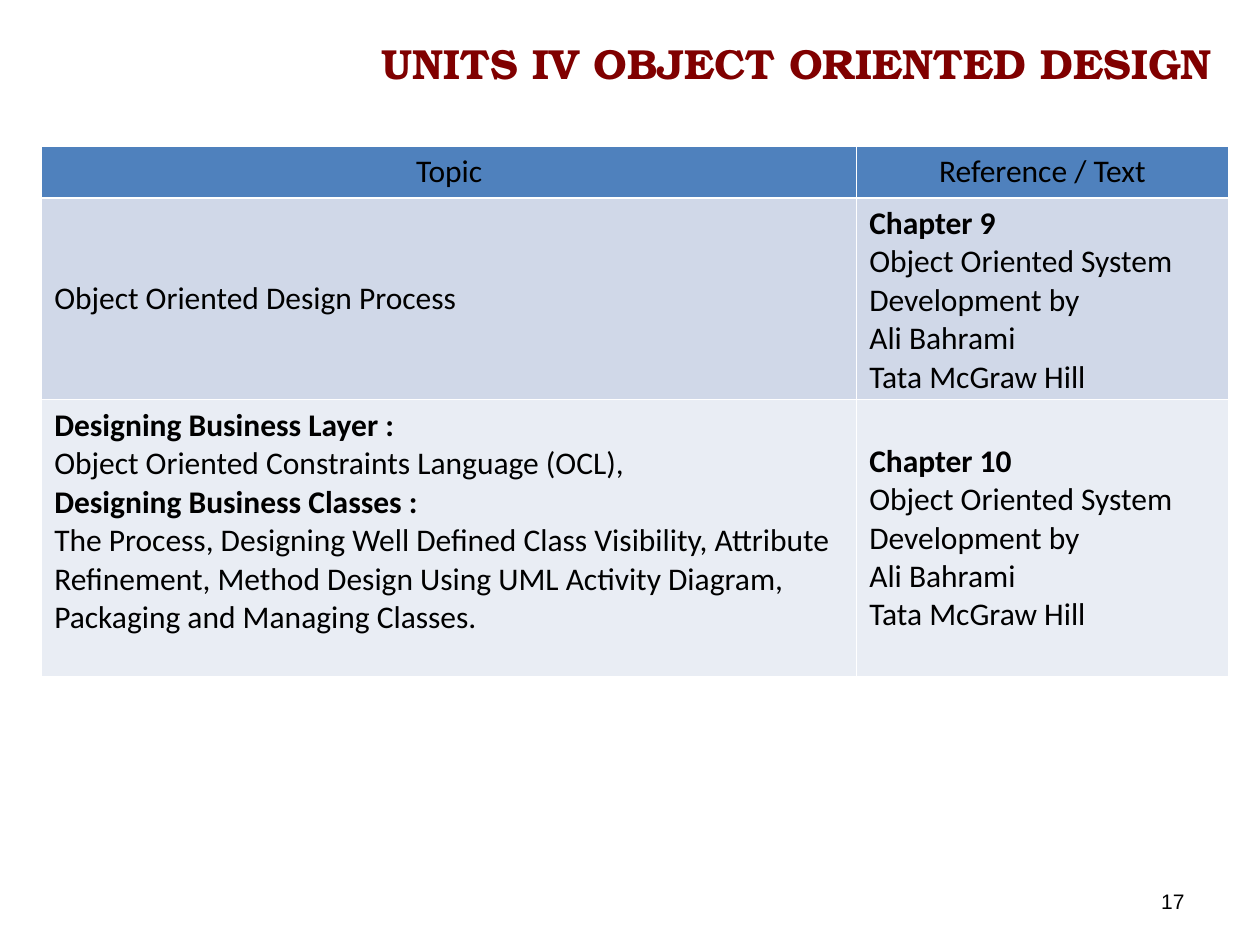
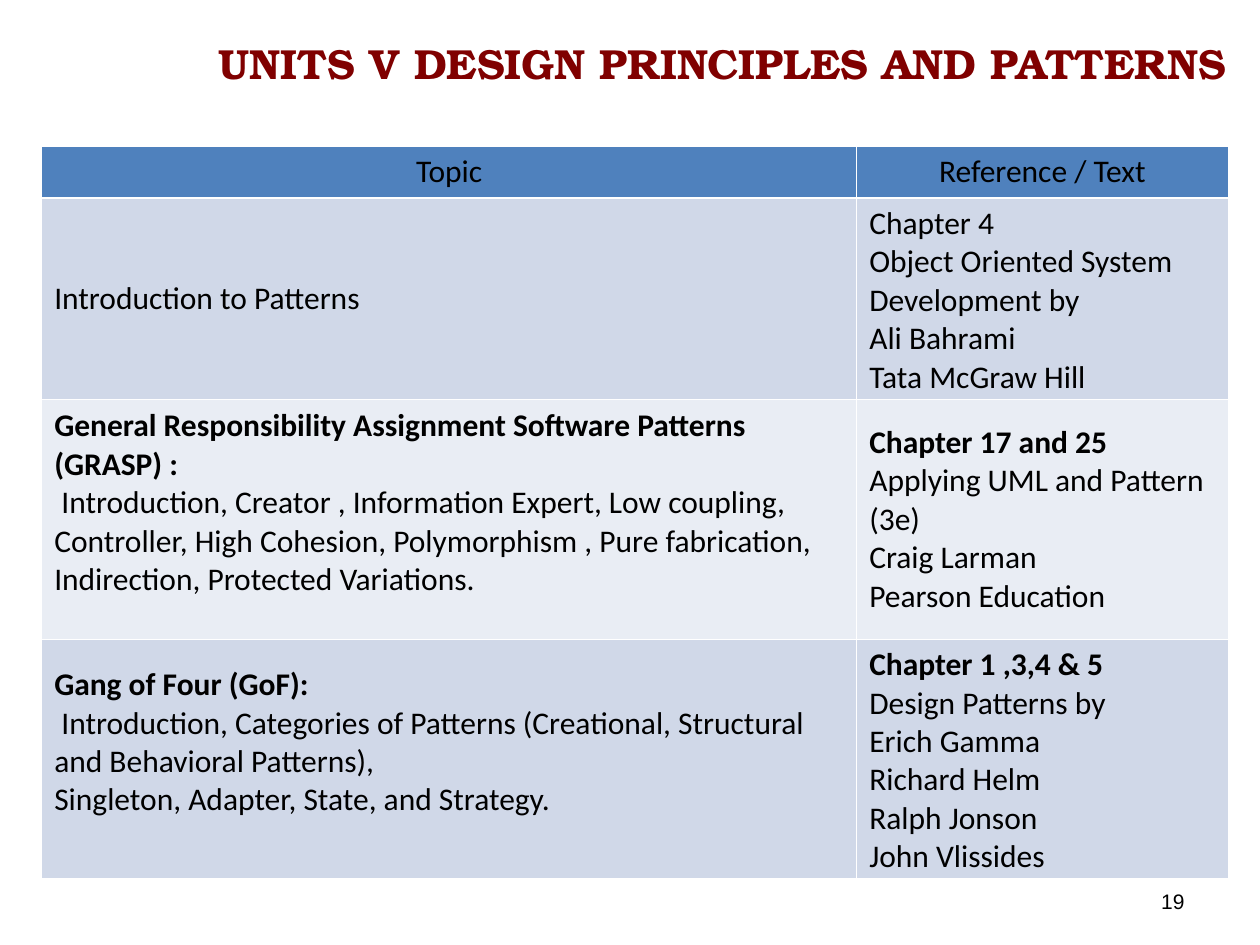
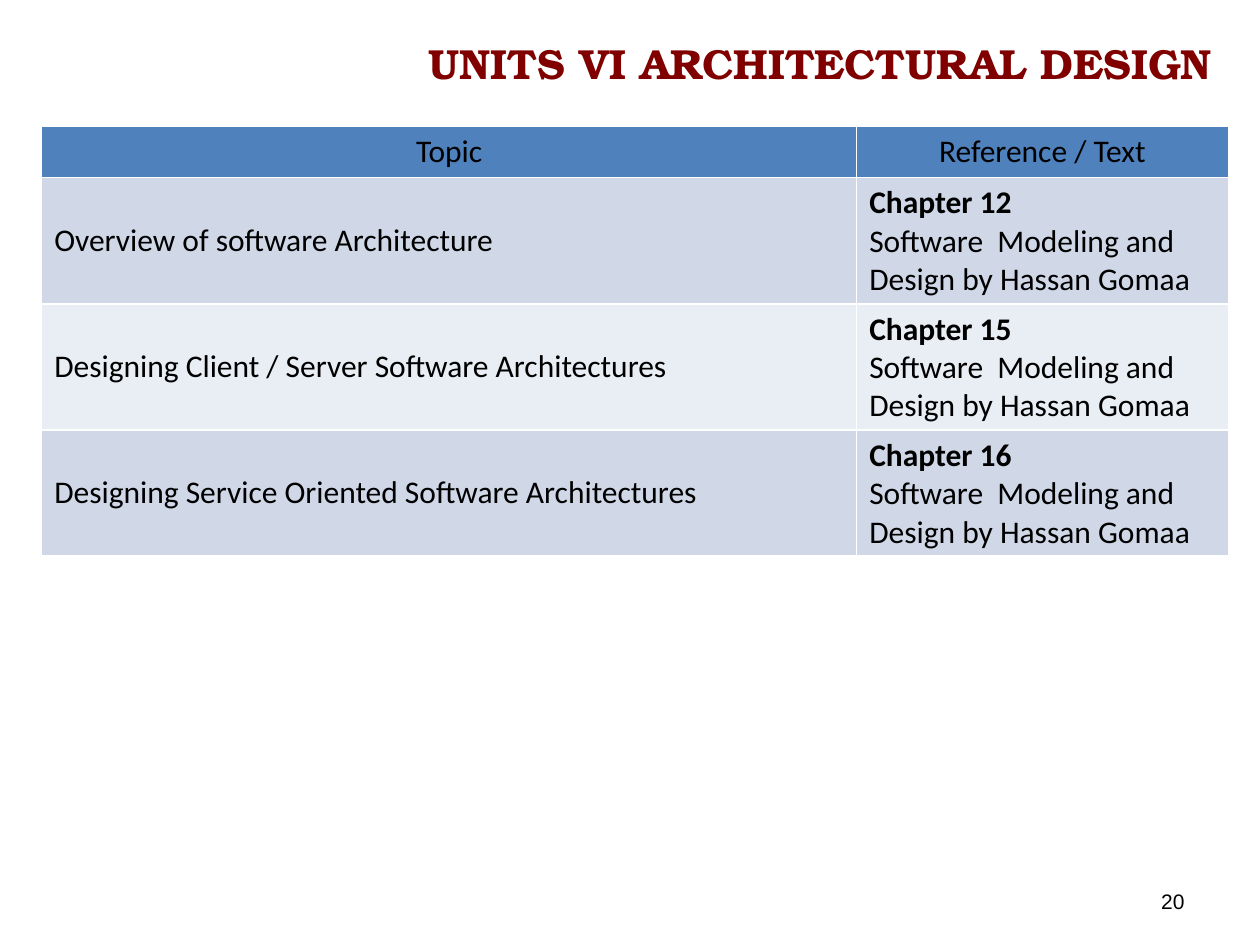
from dataclasses import dataclass

from lxml import etree
from pptx import Presentation
from pptx import util as u
from pptx.dml.color import RGBColor
from pptx.enum import text
from pptx.oxml import ns
from pptx.slide import Slide
from pptx.table import _Cell
from pptx.text.text import TextFrame

Cm, Pt = u.Cm, u.Pt


@dataclass(frozen=True)
class TextStyle:
    font: str
    size: int
    color: str


@dataclass(frozen=True)
class Theme:
    title: TextStyle = TextStyle("TeX Gyre Bonum", 24, "800000")
    body: TextStyle = TextStyle("Calibri", 18, "000000")
    number: TextStyle = TextStyle("Arial", 12, "000000")
    header_fill: str = "4F81BD"
    band_fills: tuple[str, str] = ("D0D8E8", "E9EDF4")
    border: str = "FFFFFF"
    border_width: int = 1


@dataclass(frozen=True)
class Line:
    text: str
    bold: bool = False


@dataclass(frozen=True)
class Row:
    height: float
    topic: list[Line]
    reference: list[Line]
    topic_bottom: float = 0.13


@dataclass(frozen=True)
class Unit:
    number: int
    title: str
    rows: list[Row]
    table_top: float = 2.95


THEME = Theme()
COLUMN_WIDTHS = (16.43, 7.49)
TABLE_LEFT = 0.84
HEADER_HEIGHT = 1.04
RAISED_BOTTOM = 0.8
CENTER, RIGHT, LEFT = text.PP_ALIGN.CENTER, text.PP_ALIGN.RIGHT, text.PP_ALIGN.LEFT


def lines(*texts: str) -> list[Line]:
    return [Line(entry) for entry in texts]


def headed(heading: str, *texts: str) -> list[Line]:
    """A bold heading followed by plain lines."""
    return [Line(heading, bold=True), *lines(*texts)]


BAHRAMI = ("Object Oriented System Development by", "Ali Bahrami", "Tata McGraw Hill")
GOMAA = "Software  Modeling and Design by Hassan Gomaa"

ARCHITECTURE_TOPICS = {
    "Overview of software Architecture": "Chapter 12",
    "Designing Client / Server Software Architectures": "Chapter 15",
    "Designing Service Oriented Software Architectures": "Chapter 16",
}

UNITS = [
    Unit(17, "UNITS IV OBJECT ORIENTED DESIGN ", [
        Row(4.06, lines("Object Oriented Design Process"), headed("Chapter 9", *BAHRAMI)),
        Row(
            5.59,
            headed("Designing Business Layer :", "Object Oriented Constraints Language (OCL),")
            + headed(
                "Designing Business Classes :",
                "The Process, Designing Well Defined Class Visibility, Attribute Refinement, "
                "Method Design Using UML Activity Diagram, Packaging and Managing Classes.",
            ),
            headed("Chapter 10", *BAHRAMI),
            RAISED_BOTTOM,
        ),
    ]),
    Unit(19, "UNITS V DESIGN PRINCIPLES AND PATTERNS", [
        Row(4.06, lines("Introduction to Patterns"), lines("Chapter 4", *BAHRAMI)),
        Row(
            4.83,
            headed(
                "General Responsibility Assignment Software Patterns (GRASP) :",
                " Introduction, Creator , Information Expert, Low coupling, Controller, "
                "High Cohesion, Polymorphism , Pure fabrication, Indirection, "
                "Protected Variations.",
            ),
            headed("Chapter 17 and 25", "Applying UML and Pattern (3e)", "Craig Larman",
                   "Pearson Education"),
            RAISED_BOTTOM,
        ),
        Row(
            4.83,
            headed(
                "Gang of Four (GoF):",
                " Introduction, Categories of Patterns (Creational, Structural and "
                "Behavioral Patterns),",
                "Singleton, Adapter, State, and Strategy.",
            ),
            headed("Chapter 1 ,3,4 & 5", "Design Patterns by", "Erich Gamma",
                   "Richard Helm", "Ralph Jonson", "John Vlissides"),
            RAISED_BOTTOM,
        ),
    ]),
    Unit(20, "UNITS VI ARCHITECTURAL DESIGN ", [
        Row(2.54, lines(topic), headed(chapter, GOMAA))
        for topic, chapter in ARCHITECTURE_TOPICS.items()
    ], table_top=2.54),
]


def write(frame: TextFrame, content: list[Line], style: TextStyle, align: text.PP_ALIGN) -> None:
    for index, line in enumerate(content):
        paragraph = frame.add_paragraph() if index else frame.paragraphs[0]
        paragraph.alignment = align
        run = paragraph.add_run()
        run.text = line.text
        run.font.name = style.font
        run.font.size = Pt(style.size)
        run.font.bold = line.bold
        run.font.color.rgb = RGBColor.from_string(style.color)


def add_label(slide: Slide, box: tuple[float, float, float, float], line: Line,
              style: TextStyle, anchor: text.MSO_ANCHOR) -> TextFrame:
    """Add a right-aligned text box; box is left, top, width, height in cm."""
    frame = slide.shapes.add_textbox(*map(Cm, box)).text_frame
    frame.word_wrap = True
    frame.vertical_anchor = anchor
    write(frame, [line], style, RIGHT)
    return frame


def add_borders(cell: _Cell) -> None:
    properties = cell._tc.get_or_add_tcPr()
    for side in ("a:lnL", "a:lnR", "a:lnT", "a:lnB"):
        border = etree.SubElement(properties, ns.qn(side), w=str(Pt(THEME.border_width)))
        fill = etree.SubElement(border, ns.qn("a:solidFill"))
        etree.SubElement(fill, ns.qn("a:srgbClr"), val=THEME.border)


def fill_cell(cell: _Cell, content: list[Line], fill: str, align: text.PP_ALIGN,
              bottom: float = 0.13) -> None:
    add_borders(cell)
    cell.fill.solid()
    cell.fill.fore_color.rgb = RGBColor.from_string(fill)
    cell.vertical_anchor = text.MSO_ANCHOR.MIDDLE
    cell.margin_bottom = Cm(bottom)
    write(cell.text_frame, content, THEME.body, align)


def add_topic_table(slide: Slide, unit: Unit) -> None:
    heights = [HEADER_HEIGHT, *(row.height for row in unit.rows)]
    table = slide.shapes.add_table(
        len(heights), len(COLUMN_WIDTHS), Cm(TABLE_LEFT), Cm(unit.table_top),
        Cm(sum(COLUMN_WIDTHS)), Cm(sum(heights)),
    ).table
    table.first_row = table.horz_banding = False
    for column, width in zip(table.columns, COLUMN_WIDTHS):
        column.width = Cm(width)
    for table_row, height in zip(table.rows, heights):
        table_row.height = Cm(height)

    for column, heading in enumerate(("Topic", "Reference / Text")):
        fill_cell(table.cell(0, column), lines(heading), THEME.header_fill, CENTER)
    for index, row in enumerate(unit.rows):
        band = THEME.band_fills[index % 2]
        fill_cell(table.cell(index + 1, 0), row.topic, band, LEFT, row.topic_bottom)
        fill_cell(table.cell(index + 1, 1), row.reference, band, LEFT)


def add_unit_slide(presentation, unit: Unit) -> None:
    slide = presentation.slides.add_slide(presentation.slide_layouts[6])
    add_label(slide, (18.21, 17.65, 5.92, 1.02), Line(str(unit.number)),
              THEME.number, text.MSO_ANCHOR.MIDDLE)
    title = add_label(slide, (0.61, 0.64, 24.36, 1.3), Line(unit.title, bold=True),
                      THEME.title, text.MSO_ANCHOR.TOP)
    title.auto_size = text.MSO_AUTO_SIZE.SHAPE_TO_FIT_TEXT
    add_topic_table(slide, unit)


def main() -> None:
    presentation = Presentation()
    presentation.slide_width, presentation.slide_height = Cm(25.4), Cm(19.05)
    for unit in UNITS:
        add_unit_slide(presentation, unit)
    presentation.save("out.pptx")


if __name__ == "__main__":
    main()
